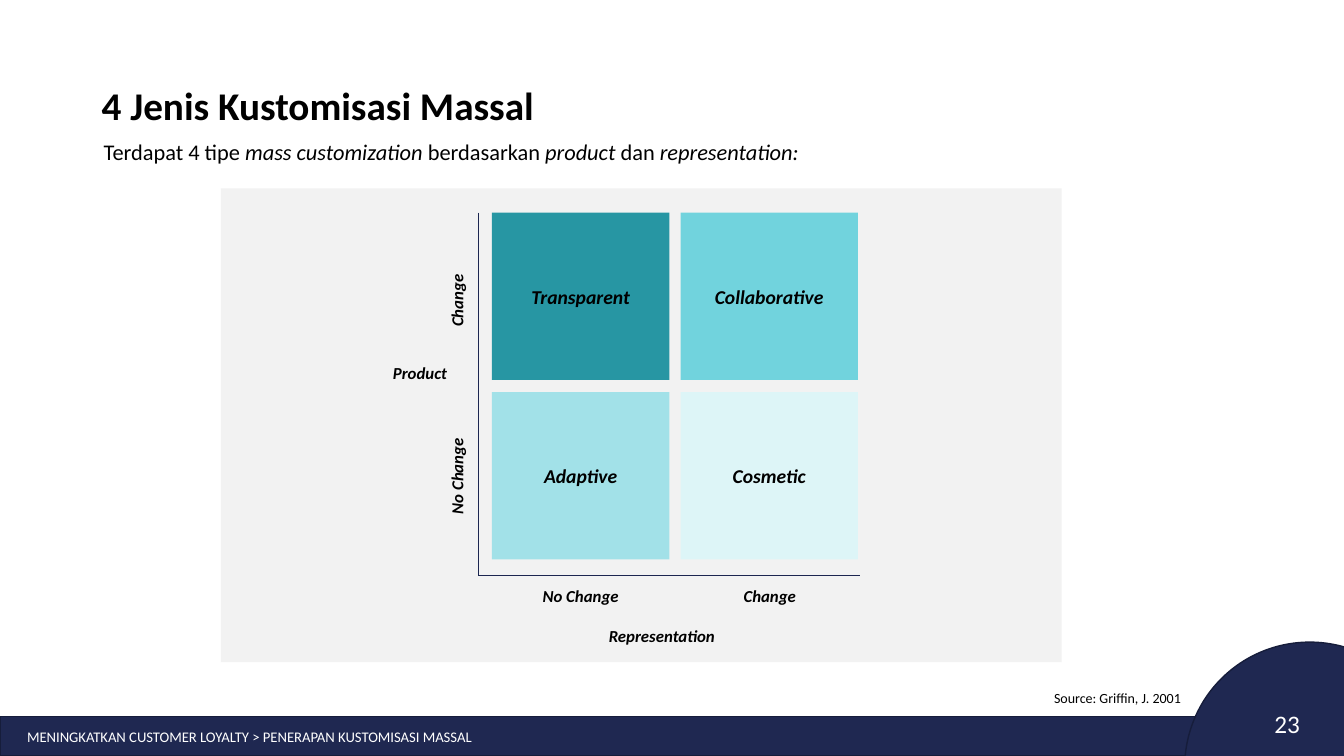
from itertools import product
from lxml import etree
from pptx import Presentation
from pptx.dml.color import RGBColor
from pptx.enum import shapes, text
from pptx.oxml import ns
from pptx.util import Inches, Pt

COLORS = {
    "navy": "1F2851", "navy_edge": "161D3B", "axis": "1C2650",
    "panel": "F2F2F2", "black": "000000", "white": "FFFFFF",
    "transparent": "2796A3", "collaborative": "71D3DD",
    "adaptive": "A2E1E8", "cosmetic": "DDF5F7",
}
LABEL = {"size": Pt(12), "bold": True, "italic": True}
QUADRANT = {"size": Pt(14), "bold": True, "italic": True}
CENTER = text.PP_ALIGN.CENTER
RIGHT = text.PP_ALIGN.RIGHT
MIDDLE = text.MSO_ANCHOR.MIDDLE


def rgb(name):
    return RGBColor.from_string(COLORS[name])


def apply_format(target, values):
    for key, value in values.items():
        setattr(target, key, value)


def write(frame, runs, font, color="black", align=text.PP_ALIGN.LEFT,
          anchor=text.MSO_ANCHOR.TOP, spacing=None, inset=0.05):
    apply_format(frame, {
        "word_wrap": True, "vertical_anchor": anchor,
        "margin_left": Inches(0.1), "margin_right": Inches(0.1),
        "margin_top": Inches(inset), "margin_bottom": Inches(inset),
    })
    paragraph = frame.paragraphs[0]
    apply_format(paragraph, {"alignment": align, "line_spacing": spacing})
    for wording, extra in runs:
        run = paragraph.add_run()
        run.text = wording
        apply_format(run.font, {"name": "Calibri", **font, **extra})
        run.font.color.rgb = rgb(color)


def add_label(slide, box, wording, font, rotation=0, **layout):
    label = slide.shapes.add_textbox(*map(Inches, box))
    label.rotation = rotation
    runs = [(wording, {})] if isinstance(wording, str) else wording
    write(label.text_frame, runs, font, **layout)


def add_block(slide, box, fill, edge=None, kind=shapes.MSO_SHAPE.RECTANGLE):
    block = slide.shapes.add_shape(kind, *map(Inches, box))
    block.shadow.inherit = False
    block.fill.solid()
    block.fill.fore_color.rgb = rgb(fill)
    if edge:
        block.line.color.rgb = rgb(edge)
        block.line.width = Pt(1)
    else:
        block.line.fill.background()
    return block


def add_axis(slide, start, end):
    axis = slide.shapes.add_connector(
        shapes.MSO_CONNECTOR.STRAIGHT, *map(Inches, start + end))
    axis.line.color.rgb = rgb("axis")
    axis.line.width = Pt(0.75)
    etree.SubElement(axis._element.spPr, ns.qn("a:effectLst"))


def add_footer(slide):
    add_block(slide, (0, 7.11, 13.33, 0.39), "navy", "navy_edge")
    add_block(slide, (11.75, 6.37, 2.48, 2.48), "navy", "navy_edge",
              shapes.MSO_SHAPE.OVAL)
    add_label(slide, (11.01, 6.93, 1.98, 0.4), "23", {"size": Pt(18)},
              color="white", align=RIGHT, inset=0.1)
    add_label(slide, (0.17, 7.11, 9.68, 0.4),
              "MENINGKATKAN CUSTOMER LOYALTY > PENERAPAN KUSTOMISASI MASSAL",
              {"size": Pt(10.5)}, color="white", anchor=MIDDLE)


def add_heading(slide):
    add_label(slide, (0.91, 0.57, 11.73, 0.75), "4 Jenis Kustomisasi Massal",
              {"size": Pt(28), "bold": True}, anchor=text.MSO_ANCHOR.BOTTOM)
    italic = {"italic": True}
    intro = [("Terdapat 4 tipe ", {}), ("mass customization ", italic),
             ("berdasarkan ", {}), ("product", italic), (" dan ", {}),
             ("representation:", italic)]
    add_label(slide, (0.93, 1.19, 11.49, 0.37), intro, {"size": Pt(16)},
              spacing=1.5)
    add_label(slide, (4.07, 6.79, 7.74, 0.27), "Source: Griffin, J. 2001",
              {"size": Pt(10)}, align=RIGHT)


def add_matrix(slide):
    add_block(slide, (2.19, 1.87, 8.34, 4.7), "panel")
    kinds = ["Transparent", "Collaborative", "Adaptive", "Cosmetic"]
    for kind, (row, column) in zip(kinds, product(range(2), repeat=2)):
        box = (4.88 + column * 1.87, 2.11 + row * 1.78, 1.76, 1.66)
        quadrant = add_block(slide, box, kind.lower())
        write(quadrant.text_frame, [(kind, {})], QUADRANT,
              align=CENTER, anchor=MIDDLE)

    origin = (4.75, 5.71)
    add_axis(slide, (4.75, 2.11), origin)
    add_axis(slide, origin, (8.53, 5.71))

    add_label(slide, (4.13, 2.79, 0.8, 0.3), "Change", LABEL, rotation=270)
    add_label(slide, (4.05, 4.57, 0.96, 0.3), "No Change", LABEL, rotation=270)
    for wording, left, top, width in [
        ("Change", 7.08, 5.76, 1.11),
        ("No Change", 5.28, 5.76, 0.96),
        ("Product", 3.64, 3.55, 1.05),
        ("Representation", 5.63, 6.16, 1.87),
    ]:
        add_label(slide, (left, top, width, 0.3), wording, LABEL, align=CENTER)


def main():
    deck = Presentation()
    deck.slide_width = Inches(13.33)
    deck.slide_height = Inches(7.5)
    slide = deck.slides.add_slide(deck.slide_layouts[6])
    add_footer(slide)
    add_heading(slide)
    add_matrix(slide)
    deck.save("out.pptx")


if __name__ == "__main__":
    main()
